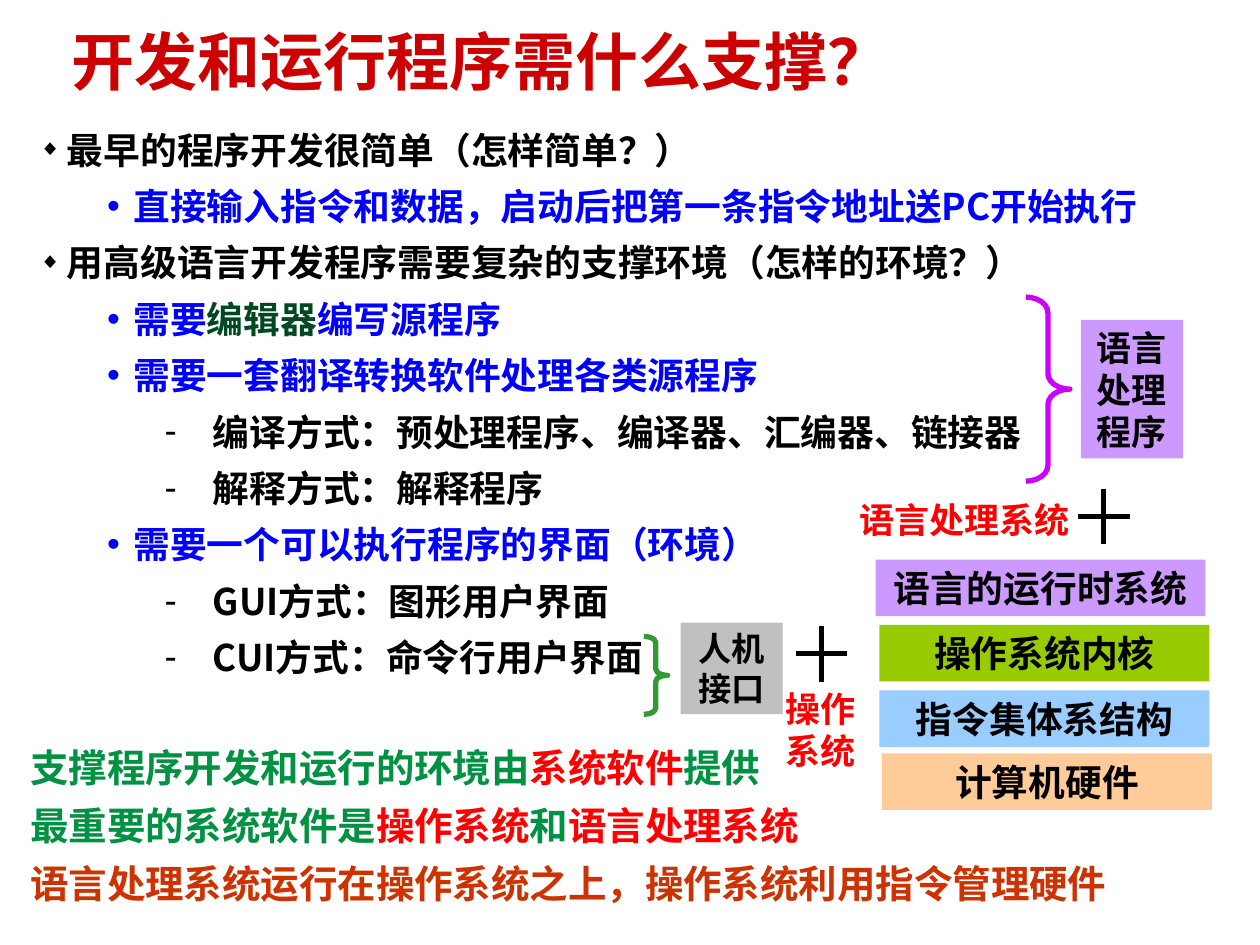
"""Build the slide on the support needed to develop and run programs."""
from dataclasses import dataclass
from typing import NamedTuple

from pptx import Presentation
from pptx.dml.color import RGBColor
from pptx.enum.shapes import MSO_CONNECTOR, MSO_SHAPE
from pptx.enum.text import MSO_ANCHOR, PP_ALIGN
from pptx.oxml.ns import qn
from pptx.util import Cm, Pt
from lxml.etree import SubElement


@dataclass(frozen=True)
class Theme:
    """Colours, fonts and type sizes of the slide."""
    black: str = "000000"
    title: str = "CC0000"
    blue: str = "0000FF"
    dark_green: str = "004821"
    green: str = "009242"
    red: str = "FF0000"
    rust: str = "CC3300"
    violet: str = "CC99FF"
    magenta: str = "CC00FF"
    brace_green: str = "339933"
    grey: str = "C0C0C0"
    lime: str = "99CC00"
    sky: str = "99CCFF"
    peach: str = "FFCC99"
    title_font: str = "Arial"
    body_font: str = "Noto Sans CJK SC"
    label_font: str = "Times New Roman"
    title_size: float = 36
    body_size: float = 21
    conclusion_size: float = 22
    label_size: float = 20
    interface_size: float = 19
    line_width: float = 3


class Area(NamedTuple):
    """Position and size in centimetres."""
    left: float
    top: float
    width: float
    height: float


class Span(NamedTuple):
    """Text in one colour."""
    text: str
    color: str


class Level(NamedTuple):
    """Bullet and indents of an outline level."""
    bullet: str
    margin: float
    hanging: float
    bullet_scale: int


class Item(NamedTuple):
    """One outline paragraph."""
    level: int
    spans: list[Span]


class Block(NamedTuple):
    """A filled or plain centred label."""
    text: str
    area: Area
    size: float
    fill: str | None = None
    color: str = Theme.black


class Brace(NamedTuple):
    """A right brace."""
    area: Area
    bend: float
    color: str


class Plus(NamedTuple):
    """Centre of a plus sign."""
    x: float
    y: float


THEME = Theme()
LEVELS = [Level("◆", 0.56, 0.56, 60), Level("•", 1.9, 0.53, 100), Level("-", 3.5, 0.97, 100)]
OUTLINE = [
    Item(0, [Span("最早的程序开发很简单（怎样简单？）", THEME.black)]),
    Item(1, [Span("直接输入指令和数据，启动后把第一条指令地址送PC开始执行", THEME.blue)]),
    Item(0, [Span("用高级语言开发程序需要复杂的支撑环境（怎样的环境？）", THEME.black)]),
    Item(1, [Span("需要", THEME.blue), Span("编辑器", THEME.dark_green), Span("编写源程序", THEME.blue)]),
    Item(1, [Span("需要一套翻译转换软件处理各类源程序", THEME.blue)]),
    Item(2, [Span("编译方式：预处理程序、编译器、汇编器、链接器", THEME.black)]),
    Item(2, [Span("解释方式：解释程序", THEME.black)]),
    Item(1, [Span("需要一个可以执行程序的界面（环境）", THEME.blue)]),
    Item(2, [Span("GUI方式：图形用户界面", THEME.black)]),
    Item(2, [Span("CUI方式：命令行用户界面", THEME.black)]),
]
CONCLUSIONS = [
    [Span("支撑程序开发和运行的环境由", THEME.green), Span("系统软件", THEME.red), Span("提供", THEME.green)],
    [Span("最重要的系统软件是", THEME.green), Span("操作系统", THEME.red), Span("和", THEME.green),
     Span("语言处理系统", THEME.red)],
    [Span("语言处理系统运行在操作系统之上，操作系统利用指令管理硬件", THEME.rust)],
]
BLOCKS = [
    Block("语言处理程序", Area(21.79, 6.45, 2.06, 2.79), THEME.label_size, THEME.violet),
    Block("人机接口", Area(13.72, 12.55, 2.06, 1.85), THEME.interface_size, THEME.grey),
    Block("语言的运行时系统", Area(17.65, 11.28, 6.65, 1.14), THEME.body_size, THEME.violet),
    Block("操作系统内核", Area(17.73, 12.6, 6.65, 1.14), THEME.body_size, THEME.lime),
    Block("指令集体系结构", Area(17.73, 13.92, 6.65, 1.14), THEME.body_size, THEME.sky),
    Block("计算机硬件", Area(17.78, 15.19, 6.65, 1.14), THEME.body_size, THEME.peach),
    Block("操作系统", Area(15.47, 13.74, 2.13, 1.96), THEME.label_size, color=THEME.red),
    Block("语言处理系统", Area(16.84, 9.93, 5.21, 1.09), THEME.label_size, color=THEME.red),
]
BRACES = [
    Brace(Area(20.68, 5.99, 0.89, 3.71), 0.35, THEME.magenta),
    Brace(Area(12.98, 12.83, 0.48, 1.57), 0.26, THEME.brace_green),
]
PLUSES = [Plus(16.56, 13.18), Plus(22.25, 10.41)]


def add_box(page, area: Area, tight: bool = False):
    """Add a wrapping text box and return its text frame."""
    frame = page.shapes.add_textbox(*map(Cm, area)).text_frame
    frame.word_wrap = True
    if tight:
        frame.margin_left = frame.margin_right = Cm(0.18)
        frame.margin_top = frame.margin_bottom = Cm(0.08)
    return frame


def next_paragraph(frame, index: int, space: float):
    """Return the paragraph at the index, spaced from the one before."""
    if index == 0:
        return frame.paragraphs[0]
    paragraph = frame.add_paragraph()
    paragraph.space_before = Pt(space)
    return paragraph


def write_spans(paragraph, spans: list[Span], font: str, size: float) -> None:
    """Write bold coloured runs."""
    for span in spans:
        run = paragraph.add_run()
        run.text = span.text
        run.font.name, run.font.size, run.font.bold = font, Pt(size), True
        run.font.color.rgb = RGBColor.from_string(span.color)


def set_bullet(paragraph, level: Level) -> None:
    """Give a paragraph its bullet and hanging indent."""
    properties = paragraph._p.get_or_add_pPr()
    properties.set("marL", str(Cm(level.margin)))
    properties.set("indent", str(-Cm(level.hanging)))
    SubElement(properties, qn("a:buSzPct"), val=str(level.bullet_scale * 1000))
    SubElement(properties, qn("a:buFont"), typeface=THEME.title_font)
    SubElement(properties, qn("a:buChar"), char=level.bullet)


def add_outline(page, area: Area) -> None:
    """Add the bulleted outline."""
    frame = add_box(page, area, tight=True)
    for index, item in enumerate(OUTLINE):
        paragraph = next_paragraph(frame, index, 2)
        paragraph.level = item.level
        paragraph.line_spacing = 1.2
        set_bullet(paragraph, LEVELS[item.level])
        write_spans(paragraph, item.spans, THEME.body_font, THEME.body_size)


def add_block(page, block: Block) -> None:
    """Add a centred label, on a rectangle if it has a fill."""
    if block.fill:
        shape = page.shapes.add_shape(MSO_SHAPE.RECTANGLE, *map(Cm, block.area))
        shape.shadow.inherit = False
        shape.fill.solid()
        shape.fill.fore_color.rgb = RGBColor.from_string(block.fill)
        shape.line.fill.background()
        frame = shape.text_frame
        frame.word_wrap = True
        frame.vertical_anchor = MSO_ANCHOR.TOP
    else:
        frame = add_box(page, block.area)
    paragraph = frame.paragraphs[0]
    paragraph.alignment = PP_ALIGN.CENTER
    write_spans(paragraph, [Span(block.text, block.color)], THEME.label_font, block.size)


def add_brace(page, brace: Brace) -> None:
    """Add an outlined right brace."""
    shape = page.shapes.add_shape(MSO_SHAPE.RIGHT_BRACE, *map(Cm, brace.area))
    shape.shadow.inherit = False
    shape.adjustments[0] = brace.bend
    shape.fill.background()
    shape.line.color.rgb = RGBColor.from_string(brace.color)
    shape.line.width = Pt(THEME.line_width)


def add_plus(page, plus: Plus) -> None:
    """Add a plus sign made of two lines."""
    for across, down in ((0.52, 0), (0, 0.56)):
        ends = (plus.x - across, plus.y - down, plus.x + across, plus.y + down)
        line = page.shapes.add_connector(MSO_CONNECTOR.STRAIGHT, *map(Cm, ends))
        line.line.color.rgb = RGBColor.from_string(THEME.black)
        line.line.width = Pt(THEME.line_width)
        SubElement(line._element.spPr, qn("a:effectLst"))


def main() -> None:
    """Build and save the deck."""
    deck = Presentation()
    deck.slide_width, deck.slide_height = Cm(25.4), Cm(19.05)
    page = deck.slides.add_slide(deck.slide_layouts[6])
    heading = add_box(page, Area(1.27, 0.58, 22.86, 1.55), tight=True).paragraphs[0]
    heading.line_spacing = 0.87
    write_spans(heading, [Span("开发和运行程序需什么支撑？", THEME.title)], THEME.title_font, THEME.title_size)
    add_outline(page, Area(0.61, 2.31, 23.7, 14.5))
    conclusion = add_box(page, Area(0.36, 14.88, 24.16, 3.63))
    for index, spans in enumerate(CONCLUSIONS):
        write_spans(next_paragraph(conclusion, index, 6.6), spans, THEME.label_font, THEME.conclusion_size)
    for brace in BRACES:
        add_brace(page, brace)
    for block in BLOCKS:
        add_block(page, block)
    for plus in PLUSES:
        add_plus(page, plus)
    deck.save("out.pptx")


if __name__ == "__main__":
    main()
